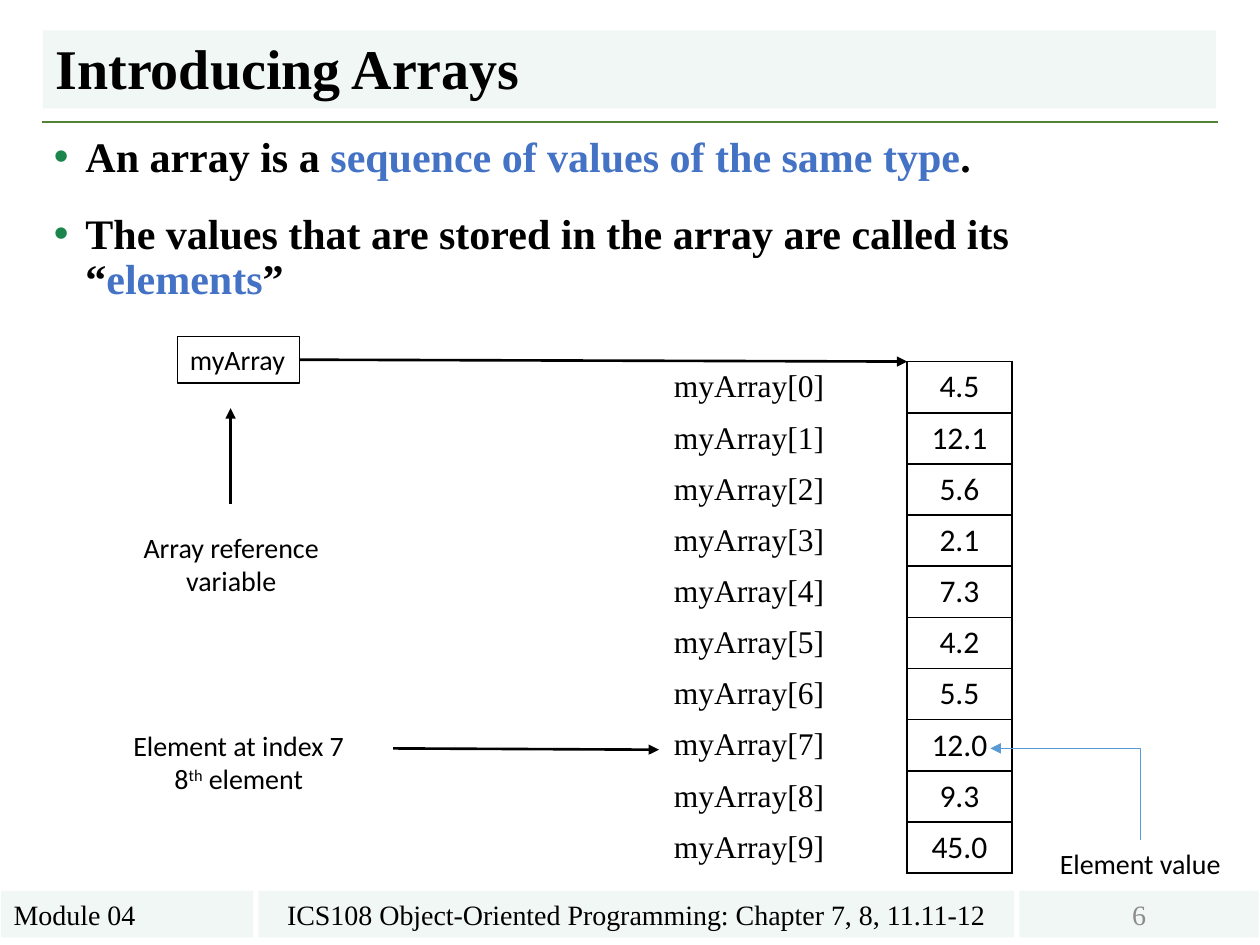
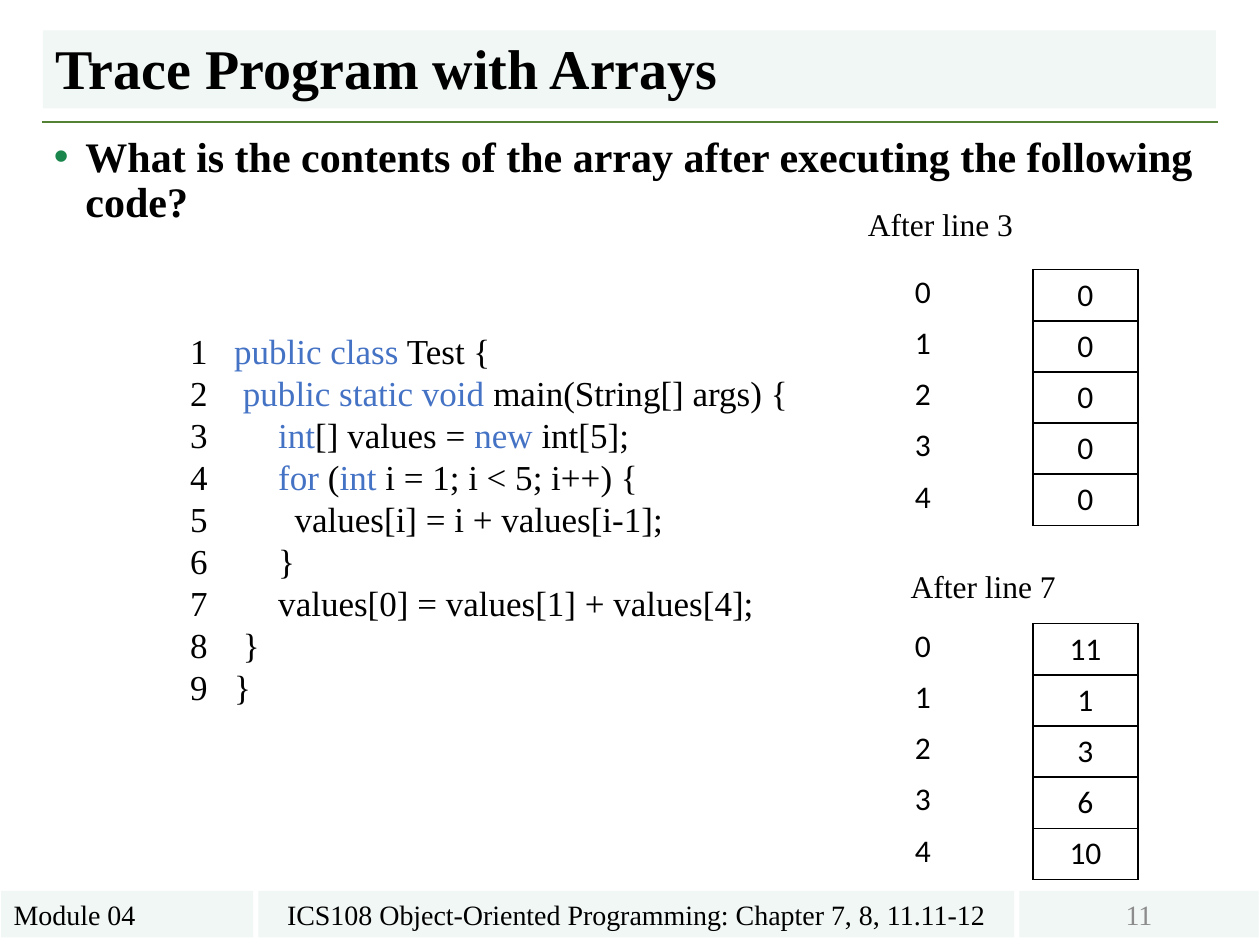
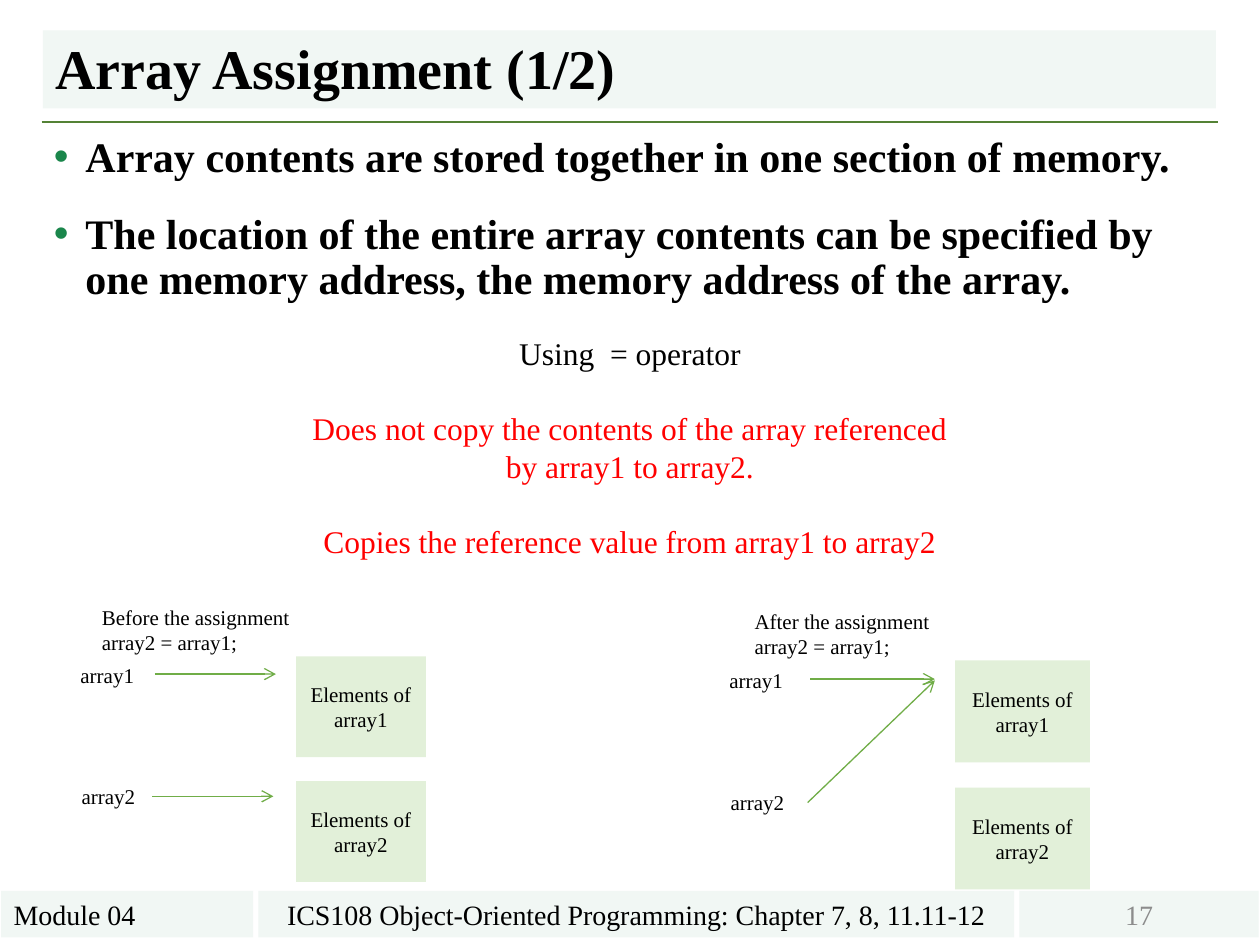
"""Build three lecture slides that introduce arrays, trace them and assign them."""
from lxml.etree import SubElement
from pptx import Presentation
from pptx.dml.color import RGBColor
from pptx.enum.shapes import MSO_CONNECTOR as Link, MSO_SHAPE as Preset
from pptx.enum.text import MSO_ANCHOR as Anchor, MSO_AUTO_SIZE as AutoSize, PP_ALIGN as Align
from pptx.oxml.ns import qn
from pptx.util import Inches, Pt

BLACK = RGBColor(0x00, 0x00, 0x00)
GREY = RGBColor(0x8C, 0x8C, 0x8C)
RED = RGBColor(0xFF, 0x00, 0x00)
KEYWORD = RGBColor(0x44, 0x72, 0xC4)
POINTER = RGBColor(0x5B, 0x9B, 0xD5)
BAND = RGBColor(0xF1, 0xF7, 0xF4)
RULE = RGBColor(0x54, 0x82, 0x35)
BULLET = RGBColor(0x1A, 0x86, 0x4B)
ARROW = RGBColor(0x70, 0xAD, 0x47)
MEMORY = RGBColor(0xE2, 0xF0, 0xD9)
SERIF, SANS = "Times New Roman", "Calibri"

MODULE = "Module 04"
COURSE = "ICS108 Object-Oriented Programming: Chapter 7, 8, 11.11-12"

INTRO = [
    ["An array is a ", ("sequence of values of the same type", KEYWORD), "."],
    ["The values that are stored in the array are called its “", ("elements", KEYWORD), "”"],
]
ELEMENTS = ["4.5", "12.1", "5.6", "2.1", "7.3", "4.2", "5.5", "12.0", "9.3", "45.0"]

TRACE = [["What is the contents of the array after executing the following code?"]]
CODE = [
    (0.35, [("public class", KEYWORD), " Test {"]),
    (0.42, [("public static void ", KEYWORD), "main(String[] args) {"]),
    (0.7, [("int", KEYWORD), "[] values = ", ("new ", KEYWORD), "int[5];"]),
    (0.7, [("for", KEYWORD), " (", ("int ", KEYWORD), "i = 1; i < 5; i++) {"]),
    (0.83, ["values[i] = i + values[i-1];"]),
    (0.7, ["}"]),
    (0.7, ["values[0] = values[1] + values[4];"]),
    (0.42, ["}"]),
    (0.35, ["}"]),
]
STATES = [
    ("After line 3", (6.79, 1.58, 1.37, 0.4), 2.14, ["0", "0", "0", "0", "0"]),
    ("After line 7", (7.13, 4.45, 1.37, 0.4), 4.95, ["11", "1", "3", "6", "10"]),
]

ASSIGNMENT = [
    ["Array contents are stored together in one section of memory."],
    ["The location of the entire array contents can be specified by one memory address, "
     "the memory address of the array."],
]
OPERATOR = [
    ["Using  = operator"],
    [("Does not copy the contents of the array referenced by array1 to array2.", RED)],
    [("Copies the reference value from array1 to array2", RED)],
]
STATEMENT = "array2 = array1;"
ARRAYS = ["array1", "array2"]
PANELS = [
    {"caption": "Before the assignment", "caption_at": (0.71, 4.75, 1.81, 0.5),
     "label": (0.54, 5.21), "label_step": 0.96, "memory": (2.35, 5.21, 1.03, 0.8),
     "memory_step": 0.99,
     "arrows": [(1.23, 5.35, 2.19, 5.35), (1.21, 6.32, 2.17, 6.32)]},
    {"caption": "After the assignment", "caption_at": (5.89, 4.78, 1.69, 0.5),
     "label": (5.69, 5.25), "label_step": 0.97, "memory": (7.58, 5.24, 1.07, 0.81),
     "memory_step": 1.01,
     "arrows": [(6.43, 5.39, 7.42, 5.39), (6.41, 6.37, 7.42, 5.4)]},
]


def inches(lengths):
    return [Inches(length) for length in lengths]


def apply(target, **formats):
    for name, value in formats.items():
        setattr(target, name, value)


def write(paragraph, runs, size, font=SERIF, color=BLACK, bold=False, **formats):
    apply(paragraph, **formats)
    for item in runs:
        words, tint = item if isinstance(item, tuple) else (item, color)
        run = paragraph.add_run()
        run.text = words
        apply(run.font, size=Pt(size), name=font, bold=bold)
        run.font.color.rgb = tint


def add_paragraph(frame, first):
    return frame.paragraphs[0] if first else frame.add_paragraph()


def hang(paragraph, depth):
    props = paragraph._p.get_or_add_pPr()
    props.set("marL", str(Inches(depth)))
    props.set("indent", str(-Inches(depth)))
    return props


def add_box(slide, at, paragraphs, size, fill=None, line=None, anchor=Anchor.TOP, **formats):
    if fill is None and line is None:
        box = slide.shapes.add_textbox(*inches(at))
    else:
        box = slide.shapes.add_shape(Preset.RECTANGLE, *inches(at))
        box.shadow.inherit = False
        box.fill.background()
        box.line.fill.background()
    if fill is not None:
        box.fill.solid()
        box.fill.fore_color.rgb = fill
    if line is not None:
        box.line.color.rgb = line
        box.line.width = Pt(0.75)
    apply(box.text_frame, word_wrap=True, vertical_anchor=anchor)
    for number, runs in enumerate(paragraphs):
        write(add_paragraph(box.text_frame, number == 0), runs, size, **formats)
    return box


def add_line(slide, ends, color, width, head=None, tail=None, kind=Link.STRAIGHT):
    link = slide.shapes.add_connector(kind, *inches(ends))
    link.line.color.rgb = color
    link.line.width = Pt(width)
    outline = link.line._get_or_add_ln()
    for tag, arrowhead in (("a:headEnd", head), ("a:tailEnd", tail)):
        if arrowhead:
            SubElement(outline, qn(tag), type=arrowhead)
    SubElement(link._element.spPr, qn("a:effectLst"))
    return link


def add_column(slide, at, values, font=SANS, bordered=False):
    table = slide.shapes.add_table(len(values), 1, *inches(at)).table
    apply(table, first_row=False, horz_banding=False)
    for cell, value in zip(table.iter_cells(), values):
        if bordered:
            props = cell._tc.get_or_add_tcPr()
            for side in ("a:lnL", "a:lnR", "a:lnT", "a:lnB"):
                border = SubElement(props, qn(side), w=str(Pt(1)))
                SubElement(SubElement(border, qn("a:solidFill")), qn("a:srgbClr"), val=str(BLACK))
        cell.fill.background()
        cell.vertical_anchor = Anchor.MIDDLE
        write(cell.text_frame.paragraphs[0], [value], 18, font, alignment=Align.CENTER)


def add_lecture_slide(deck, heading, number, bullets):
    slide = deck.slides.add_slide(deck.slide_layouts[5])
    add_line(slide, (0.33, 0.97, 9.67, 0.97), RULE, 1.5)
    for at, words, color, alignment in (
        ((2.05, 7.07, 6, 0.37), COURSE, BLACK, Align.CENTER),
        ((0.01, 7.07, 2, 0.37), MODULE, BLACK, Align.LEFT),
        ((8.09, 7.07, 1.9, 0.37), number, GREY, Align.CENTER),
    ):
        add_box(slide, at, [[words]], 16, fill=BAND, color=color, alignment=alignment,
                anchor=Anchor.MIDDLE)
    title = slide.shapes.title
    left, top, width, height = inches((0.34, 0.24, 9.31, 0.62))
    apply(title, left=left, top=top, width=width, height=height)
    title.fill.solid()
    title.fill.fore_color.rgb = BAND
    apply(title.text_frame, auto_size=AutoSize.NONE, vertical_anchor=Anchor.BOTTOM, word_wrap=True)
    write(title.text_frame.paragraphs[0], [heading], 32, bold=True,
          alignment=Align.LEFT, line_spacing=0.9)
    body = add_box(slide, (0.33, 1.03, 9.34, 5.93), bullets, 24, bold=True,
                   line_spacing=0.9, space_before=Pt(18))
    for paragraph in body.text_frame.paragraphs:
        props = hang(paragraph, 0.25)
        SubElement(SubElement(props, qn("a:buClr")), qn("a:srgbClr"), val=str(BULLET))
        SubElement(props, qn("a:buFont"), typeface="Arial")
        SubElement(props, qn("a:buChar"), char="•")
    return slide


def add_introduction(deck):
    slide = add_lecture_slide(deck, "Introducing Arrays", "6", INTRO)
    add_column(slide, (7.2, 2.87, 0.83, 4.06), ELEMENTS, bordered=True)
    names = [f"myArray[{index}]" for index in range(len(ELEMENTS))]
    add_column(slide, (5.05, 2.87, 1.79, 4.06), names, SERIF)
    variable = add_box(slide, (1.41, 2.67, 0.97, 0.37), [["myArray"]], 16, line=BLACK,
                       font=SANS, alignment=Align.LEFT)
    reference = add_line(slide, (2.38, 2.85, 7.2, 2.87), BLACK, 1.5, tail="triangle")
    reference.begin_connect(variable, 3)
    for ends in ((1.83, 4, 1.83, 3.24), (3.12, 5.94, 5.23, 5.95)):
        add_line(slide, ends, BLACK, 1.5, tail="triangle")
    note = {"size": 16, "font": SANS, "alignment": Align.CENTER}
    add_box(slide, (0.91, 4.16, 1.85, 0.64), [["Array reference variable"]], **note)
    position = add_box(slide, (0.78, 5.73, 2.23, 0.64),
                       [["Element at index 7"], ["8", "th", " element"]], **note)
    ordinal = position.text_frame.paragraphs[1].runs[1]
    ordinal._r.get_or_add_rPr().set("baseline", "30000")
    add_box(slide, (8.17, 6.67, 1.76, 0.37), [["Element value"]], **note)
    pointer = add_line(slide, (7.86, 5.94, 9.05, 6.67), POINTER, 0.5, head="triangle",
                       kind=Link.ELBOW)
    pointer._element.spPr.find(qn("a:prstGeom")).set("prst", "bentConnector2")


def add_trace(deck):
    slide = add_lecture_slide(deck, "Trace Program with Arrays", "11", TRACE)
    listing = [[f"{number}\t", *runs] for number, (_, runs) in enumerate(CODE, 1)]
    program = add_box(slide, (1.41, 2.63, 5.21, 3.08), listing, 20,
                      line_spacing=0.8, space_before=Pt(4.8))
    for paragraph, (depth, _) in zip(program.text_frame.paragraphs, CODE):
        hang(paragraph, depth)
    for caption, at, top, values in STATES:
        add_box(slide, at, [[caption]], 18)
        add_column(slide, (8.2, top, 0.83, 2.03), values, bordered=True)
        indexes = [str(index) for index in range(len(values))]
        add_column(slide, (6.91, top - 0.02, 0.83, 2.03), indexes)


def add_assignment(deck):
    slide = add_lecture_slide(deck, "Array Assignment (1/2)", "17", ASSIGNMENT)
    effect = add_box(slide, (2.35, 2.6, 5.3, 1.92), OPERATOR, 18, alignment=Align.CENTER)
    for paragraph in effect.text_frame.paragraphs[1:]:
        paragraph.space_before = Pt(21.5)
    for panel in PANELS:
        add_box(slide, panel["caption_at"], [[panel["caption"]], [STATEMENT]], 12)
        label_left, label_top = panel["label"]
        left, top, width, height = panel["memory"]
        for row, (name, ends) in enumerate(zip(ARRAYS, panel["arrows"])):
            add_box(slide, (left, top + row * panel["memory_step"], width, height),
                    [[f"Elements of {name}"]], 12, fill=MEMORY, anchor=Anchor.MIDDLE,
                    alignment=Align.CENTER)
            label_at = (label_left + row * 0.01, label_top + row * panel["label_step"], 0.68, 0.3)
            add_box(slide, label_at, [[name]], 12)
            add_line(slide, ends, ARROW, 0.75, tail="arrow")


def main():
    deck = Presentation()
    apply(deck, slide_width=Inches(10), slide_height=Inches(7.5))
    add_introduction(deck)
    add_trace(deck)
    add_assignment(deck)
    deck.save("out.pptx")


if __name__ == "__main__":
    main()
